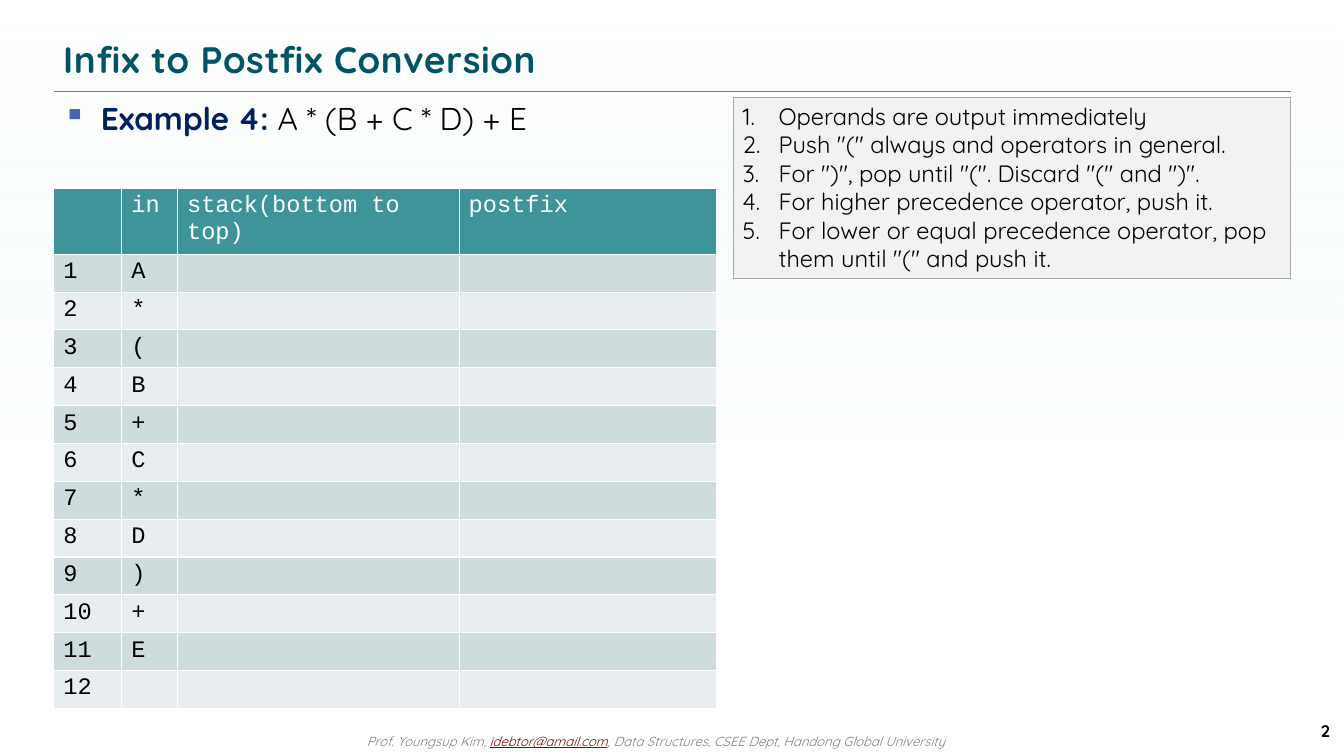
"""Build the infix to postfix conversion slide with its blank trace table."""
from lxml import etree
from pptx import Presentation
from pptx.dml.color import RGBColor
from pptx.enum import shapes, text
from pptx.oxml import ns
from pptx.util import Inches, Pt

TEAL = RGBColor(0x3F, 0x94, 0x9A)
DEEP_TEAL = RGBColor(0x00, 0x54, 0x66)
NAVY = RGBColor(0x00, 0x20, 0x60)
MAROON = RGBColor(0x7C, 0x08, 0x08)
BLACK = RGBColor(0, 0, 0)
WHITE = RGBColor(0xFF, 0xFF, 0xFF)
GRAY = RGBColor(0x80, 0x80, 0x80)
EDGE_GRAY = RGBColor(0xA6, 0xA6, 0xA6)
PANEL_GRAY = RGBColor(0xF2, 0xF2, 0xF2)
MIST = RGBColor(0xD9, 0xF3, 0xF4)
BANDS = RGBColor(0xCF, 0xDC, 0xDE), RGBColor(0xE8, 0xEE, 0xEF)

WIDTH, HEIGHT = 14.22, 8
LEFT, RIGHT = 0.57, 13.66
HEADERS = ["", "in", "stack(bottom to top)", "postfix"]
TOKENS = ["A", "*", "(", "B", "+", "C", "*", "D", ")", "+", "E", ""]
COLUMNS = [0.72, 0.59, 2.98, 2.72]
HEADER_HEIGHT, ROW_HEIGHT = 0.66, 0.38
RULES = [
    "Operands are output immediately",
    'Push "(" always and operators in general.',
    'For ")", pop until "(". Discard "(" and ")".',
    "For higher precedence operator, push it.",
    'For lower or equal precedence operator, pop them until "(" and push it.',
]
TITLE_FORMAT = {"size": Pt(28), "bold": True, "color": DEEP_TEAL}
TITLE = [("Infix to Postfix Conversion", TITLE_FORMAT)]
EXAMPLE = [
    ("Example 4: ", {"size": Pt(24), "bold": True, "color": NAVY}),
    ("A * (B + C * D) + E", {"size": Pt(24), "color": BLACK}),
]
CREDIT_FORMAT = {"size": Pt(10), "italic": True, "color": GRAY}
CREDIT = [
    ("Prof. Youngsup Kim, ", CREDIT_FORMAT),
    ("idebtor@amail.com", {**CREDIT_FORMAT, "color": MAROON, "underline": True}),
    (", Data Structures, CSEE Dept, Handong Global University", CREDIT_FORMAT),
]
PAGE = [("2", {"size": Pt(12.8), "bold": True, "color": BLACK})]
RULE_FORMAT = {"size": Pt(18), "color": BLACK}
CELL_FORMAT = {"name": "Courier New", "size": Pt(18), "bold": False}


def add_runs(paragraph, runs):
    for words, style in runs:
        run = paragraph.add_run()
        run.text = words
        for key, value in {"name": "Quicksand", **style}.items():
            if key == "color":
                run.font.color.rgb = value
            else:
                setattr(run.font, key, value)


def add_marker(paragraph, indent, *marks):
    properties = paragraph._p.get_or_add_pPr()
    properties.set("marL", str(Inches(indent)))
    properties.set("indent", str(-Inches(indent)))
    for tag, attributes in marks:
        etree.SubElement(properties, ns.qn(tag), attributes)


def add_line_of_text(slide, place, runs, anchor=text.MSO_ANCHOR.TOP):
    frame = slide.shapes.add_textbox(*map(Inches, place)).text_frame
    frame.word_wrap = True
    frame.vertical_anchor = anchor
    add_runs(frame.paragraphs[0], runs)
    return frame.paragraphs[0]


def add_backdrop(slide):
    backdrop = slide.shapes.add_shape(
        shapes.MSO_SHAPE.RECTANGLE, 0, 0, Inches(WIDTH), Inches(HEIGHT))
    backdrop.shadow.inherit = False
    backdrop.line.fill.background()
    backdrop.fill.gradient()
    backdrop.fill.gradient_angle = 270
    looks = [(0, MIST, 0), (0.61, WHITE, 40)]
    for stop, (position, color, _) in zip(backdrop.fill.gradient_stops, looks):
        stop.position = position
        stop.color.rgb = color
    tints = backdrop._element.spPr.iter(ns.qn("a:srgbClr"))
    for tint, (_, _, opacity) in zip(tints, looks):
        etree.SubElement(tint, ns.qn("a:alpha"), val=str(opacity * 1000))


def add_title_rule(slide):
    rule = slide.shapes.add_connector(
        shapes.MSO_CONNECTOR.STRAIGHT, *map(Inches, (LEFT, 0.96, RIGHT, 0.96)))
    rule.line.color.rgb = TEAL
    rule.line.width = Pt(0.25)
    etree.SubElement(rule._element.spPr, ns.qn("a:effectLst"))


def add_trace(slide):
    rows = [HEADERS] + [[str(n), token, "", ""] for n, token in enumerate(TOKENS, 1)]
    heights = [HEADER_HEIGHT] + [ROW_HEIGHT] * len(TOKENS)
    place = LEFT, 1.99, sum(COLUMNS), sum(heights)
    trace = slide.shapes.add_table(len(rows), len(COLUMNS), *map(Inches, place)).table
    for column, width in zip(trace.columns, COLUMNS):
        column.width = Inches(width)
    for index, (row, height, words) in enumerate(zip(trace.rows, heights, rows)):
        row.height = Inches(height)
        fill, ink = (BANDS[(index - 1) % 2], BLACK) if index else (TEAL, WHITE)
        for cell, word in zip(row.cells, words):
            cell.fill.solid()
            cell.fill.fore_color.rgb = fill
            if word:
                add_runs(cell.text_frame.paragraphs[0],
                         [(word, {**CELL_FORMAT, "color": ink})])


def add_rules(slide):
    panel = slide.shapes.add_shape(
        shapes.MSO_SHAPE.RECTANGLE, *map(Inches, (7.76, 1.03, 5.9, 1.92)))
    panel.shadow.inherit = False
    panel.fill.solid()
    panel.fill.fore_color.rgb = PANEL_GRAY
    panel.line.color.rgb = EDGE_GRAY
    panel.line.width = Pt(0.75)
    frame = panel.text_frame
    frame.word_wrap = True
    frame.vertical_anchor = text.MSO_ANCHOR.TOP
    for index, rule in enumerate(RULES):
        paragraph = frame.add_paragraph() if index else frame.paragraphs[0]
        paragraph.alignment = text.PP_ALIGN.LEFT
        add_marker(paragraph, 0.38, ("a:buAutoNum", {"type": "arabicPeriod"}))
        add_runs(paragraph, [(rule, RULE_FORMAT)])


def main():
    deck = Presentation()
    deck.slide_width, deck.slide_height = Inches(WIDTH), Inches(HEIGHT)
    slide = deck.slides.add_slide(deck.slide_layouts[6])
    add_backdrop(slide)
    add_title_rule(slide)
    add_line_of_text(slide, (3.78, 7.71, 6.69, 0.25), CREDIT)
    title = add_line_of_text(
        slide, (LEFT, 0.32, RIGHT - LEFT, 0.6), TITLE, text.MSO_ANCHOR.MIDDLE)
    title.runs[0].font._element.set("spc", "50")
    example = add_line_of_text(slide, (LEFT, 1, 7.01, 0.6), EXAMPLE)
    add_marker(example, 0.4, ("a:buClr", {}), ("a:buChar", {"char": "▪"}))
    bullet_color = example._p.pPr.find(ns.qn("a:buClr"))
    etree.SubElement(bullet_color, ns.qn("a:srgbClr"), val="4764B0")
    add_trace(slide)
    add_rules(slide)
    page = add_line_of_text(
        slide, (12.92, 7.52, 1.25, 0.43), PAGE, text.MSO_ANCHOR.MIDDLE)
    page.alignment = text.PP_ALIGN.RIGHT
    deck.save("out.pptx")


if __name__ == "__main__":
    main()
